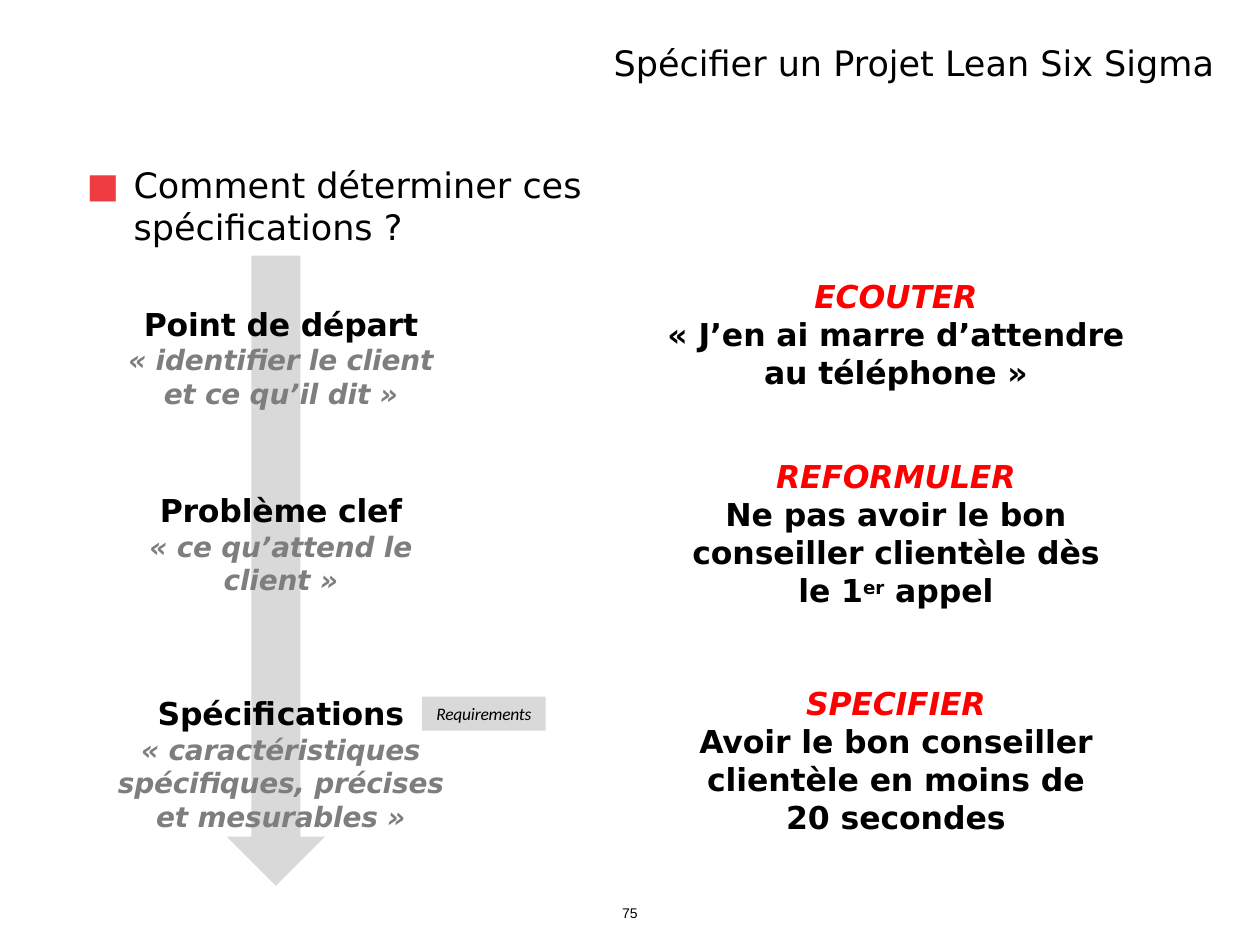
from pptx import Presentation
from pptx.dml.color import RGBColor
from pptx.enum import shapes, text
from pptx.oxml import parse_xml
from pptx.oxml.ns import nsdecls
from pptx.util import Inches, Pt

THEME = {
    "font": "DejaVu Sans", "label_font": "Calibri", "number_font": "Arial",
    "ink": "000000", "muted": "7E7E7E", "accent": "FF0000",
    "bullet": "EE3D42", "panel": "D9D9D9",
    "title": 20, "heading": 18, "detail": 16, "label": 10, "number": 8,
}
LEFT, CENTER = text.PP_ALIGN.LEFT, text.PP_ALIGN.CENTER

TITLE = "Spécifier un Projet Lean Six Sigma"
QUESTION = "Comment déterminer ces spécifications ?"
LABEL = "Requirements"
PAGE = "75"

# Heading, detail lines, (centre, top, width), exact line pitches in points
STEPS = [
    ("Point de départ", ["« identifier le client", "et ce qu’il dit »"],
     (2.23, 2.42, 2.8), (21.6, 19.2)),
    ("Problème clef", ["« ce qu’attend le", "client »"],
     (2.23, 3.9, 2.8), (21.6, 19.2)),
    ("Spécifications", ["« caractéristiques spécifiques, précises et mesurables »"],
     (2.23, 5.51, 2.8), (21.6, 19.2)),
]
# Action, example lines (a tuple marks a superscript), (centre, top, width)
ACTIONS = [
    ("ECOUTER", [["« J’en ai marre d’attendre"], ["au téléphone »"]],
     (7.11, 2.2, 3.75)),
    ("REFORMULER", [["Ne pas avoir le bon conseiller clientèle dès le 1",
                     ("er",), " appel"]], (7.11, 3.63, 3.35)),
    ("SPECIFIER", [["Avoir le bon conseiller clientèle en moins de 20 secondes"]],
     (7.11, 5.43, 3.35)),
]


def clear_frame(shape, anchor=text.MSO_ANCHOR.TOP):
    frame = shape.text_frame
    frame.margin_left = frame.margin_right = 0
    frame.margin_top = frame.margin_bottom = 0
    frame.word_wrap = True
    frame.vertical_anchor = anchor
    return frame


def add_box(slide, left, top, width, height):
    return clear_frame(slide.shapes.add_textbox(
        Inches(left), Inches(top), Inches(width), Inches(height)))


def write(frame, parts, size, first=False, font=THEME["font"], color=THEME["ink"],
          bold=False, italic=False, align=CENTER, pitch=None, tracking=0):
    """Write one paragraph; a tuple among the parts is a superscript."""
    paragraph = frame.paragraphs[0] if first else frame.add_paragraph()
    paragraph.alignment = align
    if pitch:
        paragraph.line_spacing = Pt(pitch)
    for part in [parts] if isinstance(parts, str) else parts:
        raised = isinstance(part, tuple)
        run = paragraph.add_run()
        run.text = part[0] if raised else part
        run.font.size, run.font.name = Pt(size), font
        run.font.bold, run.font.italic = bold, italic
        run.font.color.rgb = RGBColor.from_string(color)
        properties = run.font._element
        if tracking:
            properties.set("spc", str(round(tracking * 100)))
        if raised:
            properties.set("baseline", "25000")
    return paragraph


def indent(paragraph, margin, first_line=0):
    properties = paragraph._p.get_or_add_pPr()
    properties.set("marL", str(Inches(margin)))
    properties.set("indent", str(Inches(first_line)))
    return properties


def add_panel(slide, kind, left, top, width, height):
    shape = slide.shapes.add_shape(
        kind, Inches(left), Inches(top), Inches(width), Inches(height))
    shape.shadow.inherit = False
    shape.fill.solid()
    shape.fill.fore_color.rgb = RGBColor.from_string(THEME["panel"])
    shape.line.fill.background()
    return shape


def add_title(slide):
    title = slide.shapes.title
    title.left, title.top = Inches(0.29), Inches(0.33)
    title.width, title.height = Inches(9.43), Inches(0.31)
    frame = clear_frame(title)
    frame.auto_size = text.MSO_AUTO_SIZE.NONE
    indent(write(frame, TITLE, THEME["title"], first=True, align=LEFT), 4.58)


def add_question(slide):
    frame = add_box(slide, 0.67, 1.3, 6.1, 0.67)
    paragraph = write(frame, QUESTION, THEME["title"], first=True, align=LEFT)
    properties = indent(paragraph, 0.39, -0.38)
    for markup in (
        f'<a:buClr {nsdecls("a")}><a:srgbClr val="{THEME["bullet"]}"/></a:buClr>',
        f'<a:buSzPct {nsdecls("a")} val="150000"/>',
        f'<a:buFont {nsdecls("a")} typeface="{THEME["font"]}"/>',
        f'<a:buChar {nsdecls("a")} char="▪"/>',
    ):
        properties.append(parse_xml(markup))


def add_step(slide, heading, details, place, pitches):
    center, top, width = place
    frame = add_box(slide, center - width / 2, top, width, 0.81)
    write(frame, heading, THEME["heading"], first=True, bold=True,
          pitch=pitches[0], tracking=-0.1)
    for line in details:
        write(frame, line, THEME["detail"], color=THEME["muted"], bold=True,
              italic=True, pitch=pitches[1], tracking=-0.1)


def add_action(slide, action, lines, place):
    center, top, width = place
    frame = add_box(slide, center - width / 2, top, width, 1.18)
    write(frame, action, THEME["heading"], first=True, color=THEME["accent"],
          bold=True, italic=True, tracking=-0.1)
    for parts in lines:
        write(frame, parts, THEME["heading"], bold=True, tracking=-0.05)


def main():
    presentation = Presentation()
    presentation.slide_width, presentation.slide_height = Inches(10), Inches(7.5)
    slide = presentation.slides.add_slide(presentation.slide_layouts[5])

    add_panel(slide, shapes.MSO_SHAPE.DOWN_ARROW, 1.8, 2.03, 0.78, 5)
    add_title(slide)
    add_question(slide)
    for step in STEPS:
        add_step(slide, *step)
    for action in ACTIONS:
        add_action(slide, *action)

    label = add_panel(slide, shapes.MSO_SHAPE.RECTANGLE, 3.35, 5.53, 0.98, 0.27)
    write(clear_frame(label, text.MSO_ANCHOR.MIDDLE), LABEL, THEME["label"],
          first=True, font=THEME["label_font"], italic=True, tracking=-0.1)
    write(add_box(slide, 4.91, 7.18, 0.18, 0.14), PAGE, THEME["number"],
          first=True, font=THEME["number_font"])

    presentation.save("out.pptx")


if __name__ == "__main__":
    main()
